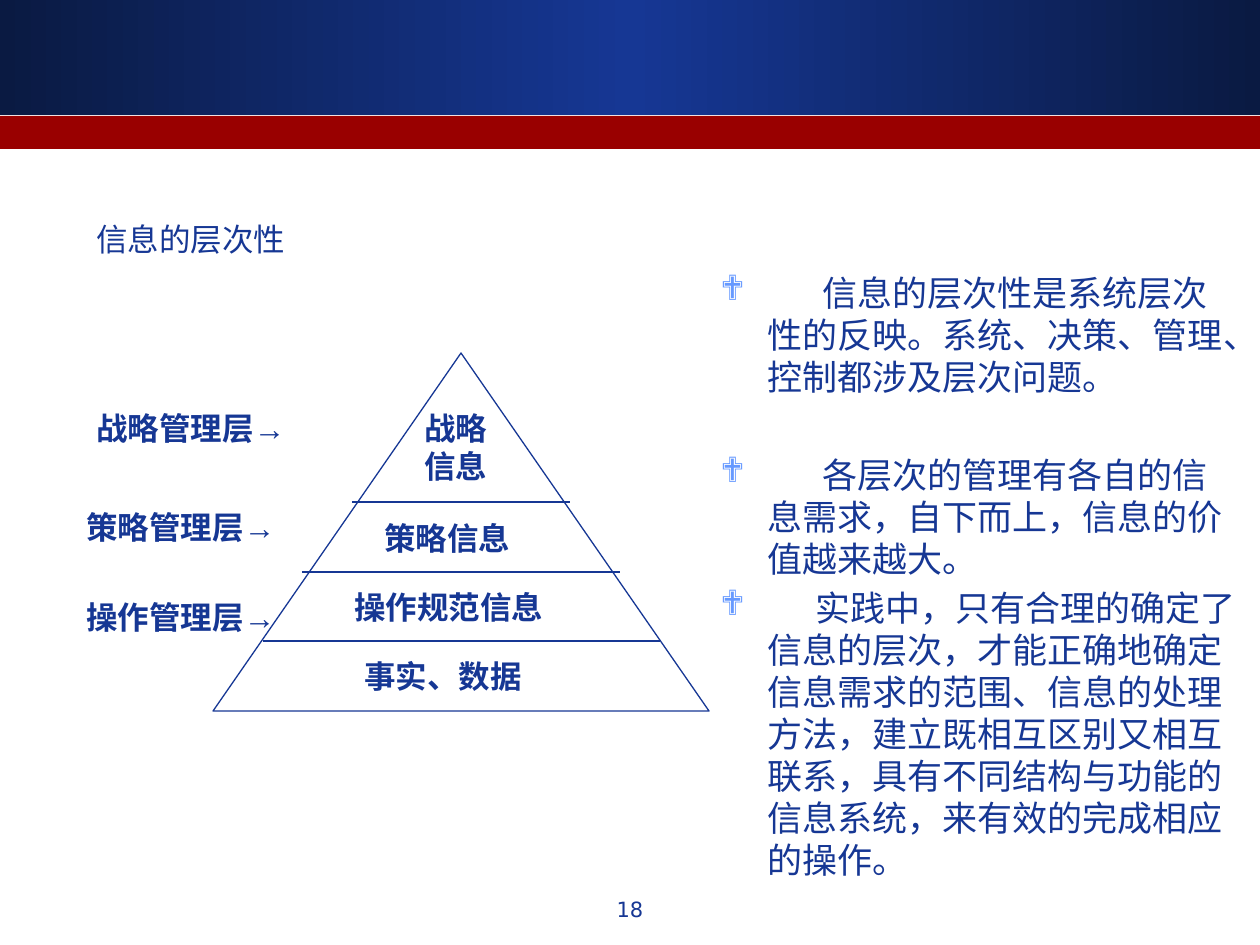
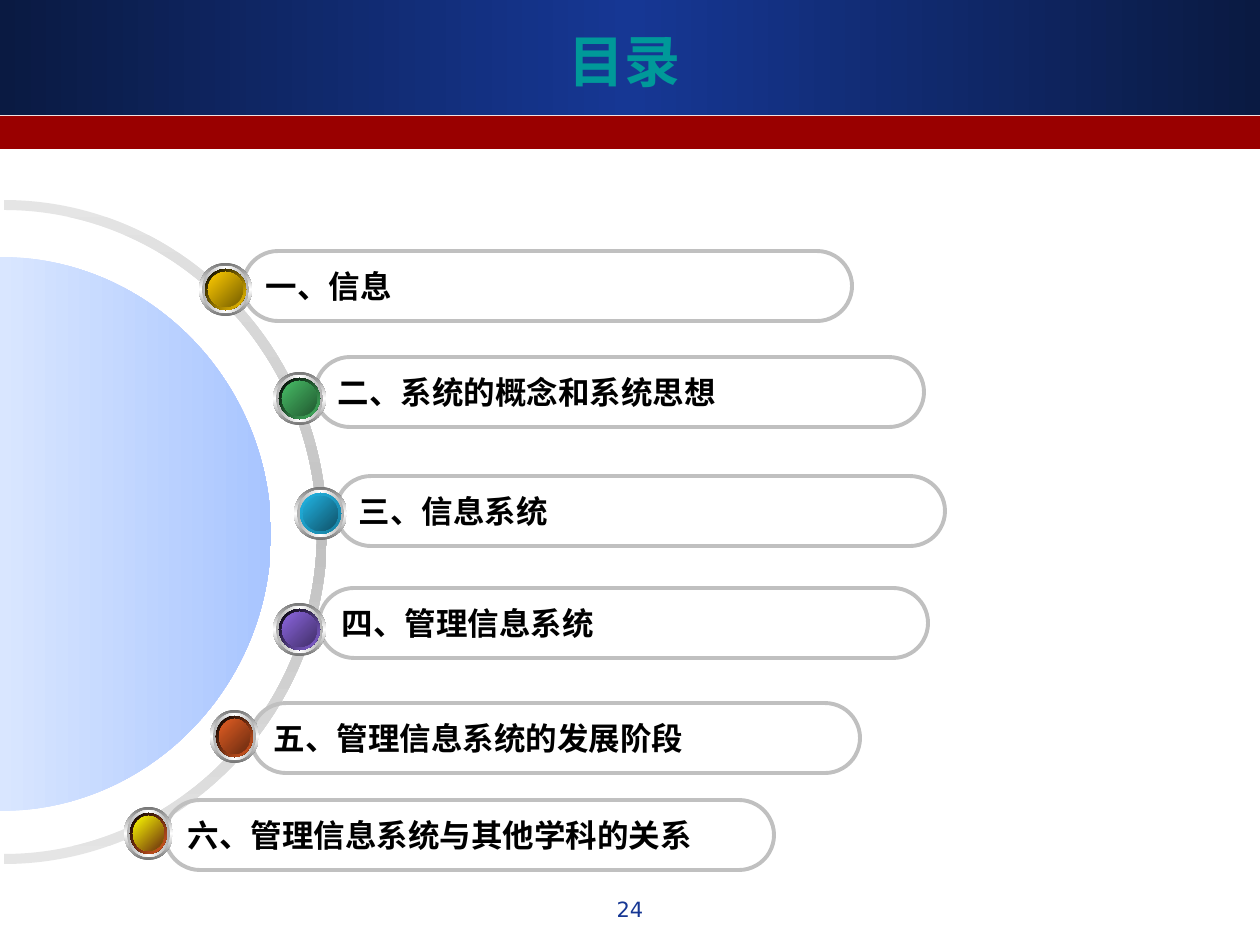
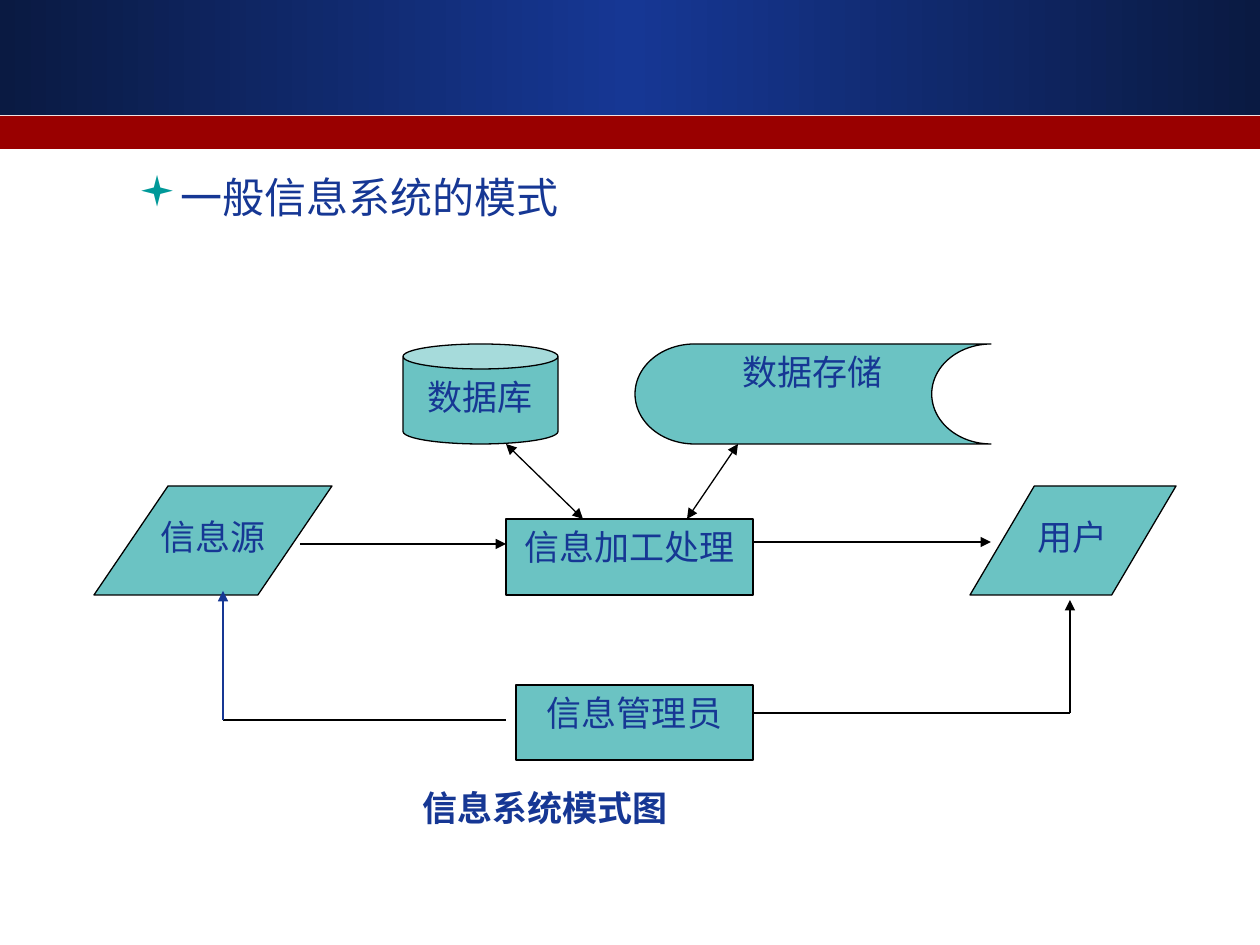
import copy
from dataclasses import dataclass

import pptx
import pptx.dml.color
import pptx.enum.shapes
import pptx.enum.text
import pptx.oxml
import pptx.oxml.ns
import pptx.util

SHAPE = pptx.enum.shapes.MSO_SHAPE
ALIGN = pptx.enum.text.PP_ALIGN
ANCHOR = pptx.enum.text.MSO_ANCHOR
EMU_PER_PX = 914400 / 126
PAGE_W, PAGE_H = 1260, 945
ARC_HANDLE = 0.55  # control handle of a quarter ellipse, as a share of its radius


@dataclass(frozen=True)
class Theme:
    navy: str = "163794"
    navy_dark: str = "0A1A42"
    red: str = "990000"
    teal: str = "009999"
    sky: str = "6699FF"
    black: str = "000000"
    white: str = "FFFFFF"
    outline: str = "C0C0C0"
    arc: tuple = ("E5E5E5", "C0C0C0", "E5E5E5")
    disc: tuple = ("D9E6FF", "A8C5FF")
    ring_outer: tuple = ("767676", "FFFFFF", "767676")
    ring_inner: tuple = ("B0B0B0", "FFFFFF", "B0B0B0")
    title: int = 32
    heading: int = 24
    body: int = 20
    label: int = 18
    footer: int = 12
    sans: str = "DejaVu Sans"
    plain: str = "Arial"
    serif: str = "Times New Roman"
    cjk: str = "Noto Sans CJK SC"
    symbols: str = "Wingdings"


T = Theme()

# Slide 1: text, left, top, width, height
PYRAMID = (213, 353, 496, 358)
PYRAMID_RULES = [(352, 570, 502), (302, 620, 572), (263, 660, 641)]
LEVELS = [
    ("战略信息", 412, 403, 112, 88),
    ("策略信息", 372, 513, 189, 50),
    ("操作规范信息", 342, 582, 248, 50),
    ("事实、数据", 352, 651, 268, 50),
    ("战略管理层→", 84, 403, 277, 50),
    ("策略管理层→", 74, 502, 277, 50),
    ("操作管理层→", 74, 592, 277, 50),
]
# text, first line offset in px, space before in pt
POINTS = [
    ("信息的层次性是系统层次性的反映。系统、决策、管理、控制都涉及层次问题。", 55, 0),
    ("各层次的管理有各自的信息需求，自下而上，信息的价值越来越大。", 55, 32),
    ("实践中，只有合理的确定了信息的层次，才能正确地确定信息需求的范围、信息的处理方法，"
     "建立既相互区别又相互联系，具有不同结构与功能的信息系统，来有效的完成相应的操作。", 48, 4),
]

# Slide 2: text, pill left and top, orb left, top and width, rim colours, core colours
CONTENTS = [
    ("一、信息", 243, 251, 199, 263, 53, ("000000", "FFCC00"), ("FFCC00", "765E00")),
    ("二、系统的概念和系统思想", 315, 357, 273, 372, 53,
     ("000000", "48BE67"), ("48BE67", "215830")),
    ("三、信息系统", 336, 476, 294, 487, 53, ("21B3E1", "1880A1"), ("21B3E1", "0F5168")),
    ("四、管理信息系统", 319, 588, 273, 603, 53,
     ("000000", "8D67E1"), ("8D67E1", "412F68")),
    ("五、管理信息系统的发展阶段", 251, 703, 210, 710, 49,
     ("000000", "E35E23"), ("E35E23", "692B10")),
    ("六、管理信息系统与其他学科的关系", 165, 800, 124, 807, 49,
     ("000000", "E35E23"), ("FFFF00", "692B10")),
]
PILL_W, PILL_H, ORB_H, ORB_STEP = 609, 70, 53, 3

# Slide 3: text, preset, box, adjustment
NODES = [
    ("信息加工处理", SHAPE.RECTANGLE, (506, 519, 247, 76), None),
    ("用户", SHAPE.PARALLELOGRAM, (970, 486, 206, 109), 0.59),
    ("信息管理员", SHAPE.RECTANGLE, (516, 685, 237, 75), None),
    ("数据库", SHAPE.CAN, (403, 344, 155, 100), 0.25),
    ("数据存储", SHAPE.FLOWCHART_STORED_DATA, (635, 344, 356, 100), None),
    ("信息源", SHAPE.PARALLELOGRAM, (94, 486, 238, 109), 0.68),
]
# from, to, arrowheads, colour
FLOWS = [
    ((300, 544), (506, 544), ("tail",), T.black),
    ((753, 542), (991, 542), ("tail",), T.black),
    ((753, 713), (1070, 713), (), T.black),
    ((1070, 713), (1070, 600), ("tail",), T.black),
    ((506, 444), (583, 519), ("head", "tail"), T.black),
    ((738, 444), (687, 519), ("head", "tail"), T.black),
    ((223, 720), (506, 720), (), T.black),
    ((223, 720), (223, 591), ("tail",), T.navy),
]


def px(n):
    return pptx.util.Emu(round(n * EMU_PER_PX))


def rgb(code):
    return pptx.dml.color.RGBColor.from_string(code)


def child(parent, tag, **attrs):
    el = parent.makeelement(pptx.oxml.ns.qn(tag), {k: str(v) for k, v in attrs.items()})
    parent.append(el)
    return el


def paint(sp, fill=None, angle=0, alpha=None, line=None, weight=0.75):
    """Fill with nothing, one colour, or a tuple of evenly spaced gradient colours."""
    sp.shadow.inherit = False
    if fill is None:
        sp.fill.background()
    elif isinstance(fill, tuple):
        sp.fill.gradient()
        sp.fill.gradient_angle = -angle % 360
        stop_list = sp._element.spPr.find(".//" + pptx.oxml.ns.qn("a:gsLst"))
        while len(stop_list) < len(fill):
            stop_list.append(copy.deepcopy(stop_list[0]))
        for i, (stop, color) in enumerate(zip(sp.fill.gradient_stops, fill)):
            stop.color.rgb = rgb(color)
            stop.position = i / (len(fill) - 1)
    else:
        sp.fill.solid()
        sp.fill.fore_color.rgb = rgb(fill)
        if alpha:
            color = sp._element.spPr.find(".//" + pptx.oxml.ns.qn("a:srgbClr"))
            child(color, "a:alpha", val=alpha * 1000)
    if line:
        sp.line.color.rgb = rgb(line)
        sp.line.width = pptx.util.Pt(weight)
    else:
        sp.line.fill.background()


def add_shape(slide, preset, box, adjust=None, **style):
    sp = slide.shapes.add_shape(preset, *map(px, box))
    if adjust is not None:
        sp.adjustments[0] = adjust
    paint(sp, **style)
    return sp


def add_outline(slide, start, segments, **style):
    """Draw segments of one point (a line) or three points (a Bézier curve)."""
    points = [(px(x), px(y)) for segment in segments for x, y in segment]
    builder = slide.shapes.build_freeform(*map(px, start), scale=1.0)
    builder.add_line_segments(points, close=True)
    sp = builder.convert_to_shape()
    steps = iter(list(sp._element.iter(pptx.oxml.ns.qn("a:lnTo"))))
    for segment in segments:
        first, *rest = [next(steps) for _ in segment]
        if rest:
            first.tag = pptx.oxml.ns.qn("a:cubicBezTo")
            for step in rest:
                first.append(step[0])
                step.getparent().remove(step)
    paint(sp, **style)


def add_line(slide, start, end, heads=(), color=T.navy):
    c = slide.shapes.add_connector(
        pptx.enum.shapes.MSO_CONNECTOR.STRAIGHT, *map(px, start + end))
    c.line.color.rgb = rgb(color)
    c.line.width = pptx.util.Pt(0.75)
    for head in heads:
        child(c.line._get_or_add_ln(), f"a:{head}End", type="triangle")
    child(c._element.spPr, "a:effectLst")


def write(tf, text, size=T.label, font=T.sans, east_asian=T.plain, color=T.navy,
          bold=False, align=ALIGN.LEFT, anchor=ANCHOR.TOP, before=0, spacing=None,
          bullet=None, bullet_color=None, margin=0, hang=0, offset=0):
    """Add a paragraph; offset shifts its first line past the margin by a tab stop."""
    tf.word_wrap = True
    tf.vertical_anchor = anchor
    p = tf.add_paragraph() if tf.text else tf.paragraphs[0]
    p.alignment = align
    p.space_before = pptx.util.Pt(before)
    if spacing:
        p.line_spacing = spacing
    if bullet:
        ppr = p._p.get_or_add_pPr()
        ppr.set("marL", str(px(margin)))
        ppr.set("indent", str(px(-hang)))
        child(child(ppr, "a:buClr"), "a:srgbClr", val=bullet_color)
        child(ppr, "a:buFont", typeface=T.symbols)
        child(ppr, "a:buChar", char=bullet)
        if offset:
            child(child(ppr, "a:tabLst"), "a:tab", pos=px(margin + offset), algn="l")
    r = p.add_run()
    r.text = "\t" + text if offset else text
    r.font.size = pptx.util.Pt(size)
    r.font.name = font
    r.font.bold = bold
    r.font.color.rgb = rgb(color)
    child(r._r.get_or_add_rPr(), "a:ea", typeface=east_asian)


def add_text(slide, text, box, **style):
    tf = slide.shapes.add_textbox(*map(px, box)).text_frame
    write(tf, text, **style)


def add_bands_to_layout(slide):
    """Draw the header bands and hand them to the layout, which all slides share."""
    bands = [
        add_shape(slide, SHAPE.RECTANGLE, (0, 0, PAGE_W, 115),
                  fill=(T.navy_dark, T.navy, T.navy_dark)),
        add_shape(slide, SHAPE.RECTANGLE, (0, 116, PAGE_W, 33), fill=T.red),
    ]
    for band in bands:
        slide.slide_layout.shapes._spTree.append(band._element)


def new_slide(prs, title=None, number=None):
    slide = prs.slides.add_slide(prs.slide_layouts[6])
    if len(prs.slides) == 1:
        add_bands_to_layout(slide)
    if title:
        add_text(slide, title, (42, 21, 1166, 78), size=T.title, color=T.teal,
                 bold=True, align=ALIGN.CENTER, anchor=ANCHOR.MIDDLE)
    if number:
        add_text(slide, number, (483, 890, 294, 44), size=T.footer, align=ALIGN.CENTER)
    return slide


def right_half(cx, cy, rx, ry):
    """Two curves of an ellipse's right half, from top to bottom."""
    hx, hy = rx * ARC_HANDLE, ry * ARC_HANDLE
    return [
        [(cx + hx, cy - ry), (cx + rx, cy - hy), (cx + rx, cy)],
        [(cx + rx, cy + hy), (cx + hx, cy + ry), (cx, cy + ry)],
    ]


def pyramid_slide(prs):
    slide = new_slide(prs, number="18")
    add_shape(slide, SHAPE.ISOSCELES_TRIANGLE, PYRAMID, fill=T.white, line=T.navy)
    for left, right, y in PYRAMID_RULES:
        add_line(slide, (left, y), (right, y))
    for text, *box in LEVELS:
        add_text(slide, text, box, bold=True)
    add_text(slide, "信息的层次性", (84, 214, 399, 50), font=T.plain)
    tf = slide.shapes.add_textbox(*map(px, (708, 265, 543, 670))).text_frame
    for text, offset, before in POINTS:
        write(tf, text, size=T.body, font=T.plain, before=before, offset=offset,
              bullet="❖", bullet_color=T.sky, margin=47, hang=47)


def contents_slide(prs):
    slide = new_slide(prs, title="目录", number="24")
    cx, cy, inner_rx, inner_ry, thickness = 4, 532, 313, 322, 10
    outer = right_half(cx, cy, inner_rx + thickness, inner_ry + thickness)
    inner = right_half(cx, cy, inner_rx, -inner_ry)
    add_outline(slide, (cx, cy - inner_ry - thickness),
                outer + [[(cx, cy + inner_ry)]] + inner, fill=T.arc, angle=90)
    add_outline(slide, (0, 257), right_half(0, 534, 271, 277), fill=T.disc)
    for text, x, y, orb_x, orb_y, orb_w, rim, core in CONTENTS:
        pill = add_shape(slide, SHAPE.ROUNDED_RECTANGLE, (x, y, PILL_W, PILL_H),
                         adjust=0.5, line=T.outline, weight=2.25)
        write(pill.text_frame, text, font=T.cjk, east_asian=T.cjk, color=T.black,
              bold=True, anchor=ANCHOR.MIDDLE)
        layers = [(T.ring_outer, 90), (T.ring_inner, 0), (rim, 45), (core, 45)]
        for i, (fill, angle) in enumerate(layers):
            d = i * ORB_STEP
            add_shape(slide, SHAPE.OVAL,
                      (orb_x + d, orb_y + d, orb_w - 2 * d, ORB_H - 2 * d),
                      fill=fill, angle=angle)


def system_model_slide(prs):
    slide = new_slide(prs)
    for text, preset, box, adjust in NODES:
        node = add_shape(slide, preset, box, adjust, fill=T.teal, alpha=58, line=T.black)
        write(node.text_frame, text, size=T.body, font=T.serif, align=ALIGN.CENTER)
    for flow in FLOWS:
        add_line(slide, *flow)
    add_text(slide, "信息系统模式图", (193, 780, 704, 54), size=T.body, font=T.plain,
             bold=True, align=ALIGN.CENTER)
    add_text(slide, "一般信息系统的模式", (63, 159, 1134, 66), size=T.heading,
             font=T.plain, spacing=1.13, bullet="▪", bullet_color=T.teal,
             margin=102, hang=39)


def main():
    prs = pptx.Presentation()
    prs.slide_width, prs.slide_height = px(PAGE_W), px(PAGE_H)
    pyramid_slide(prs)
    contents_slide(prs)
    system_model_slide(prs)
    prs.save("out.pptx")


if __name__ == "__main__":
    main()
